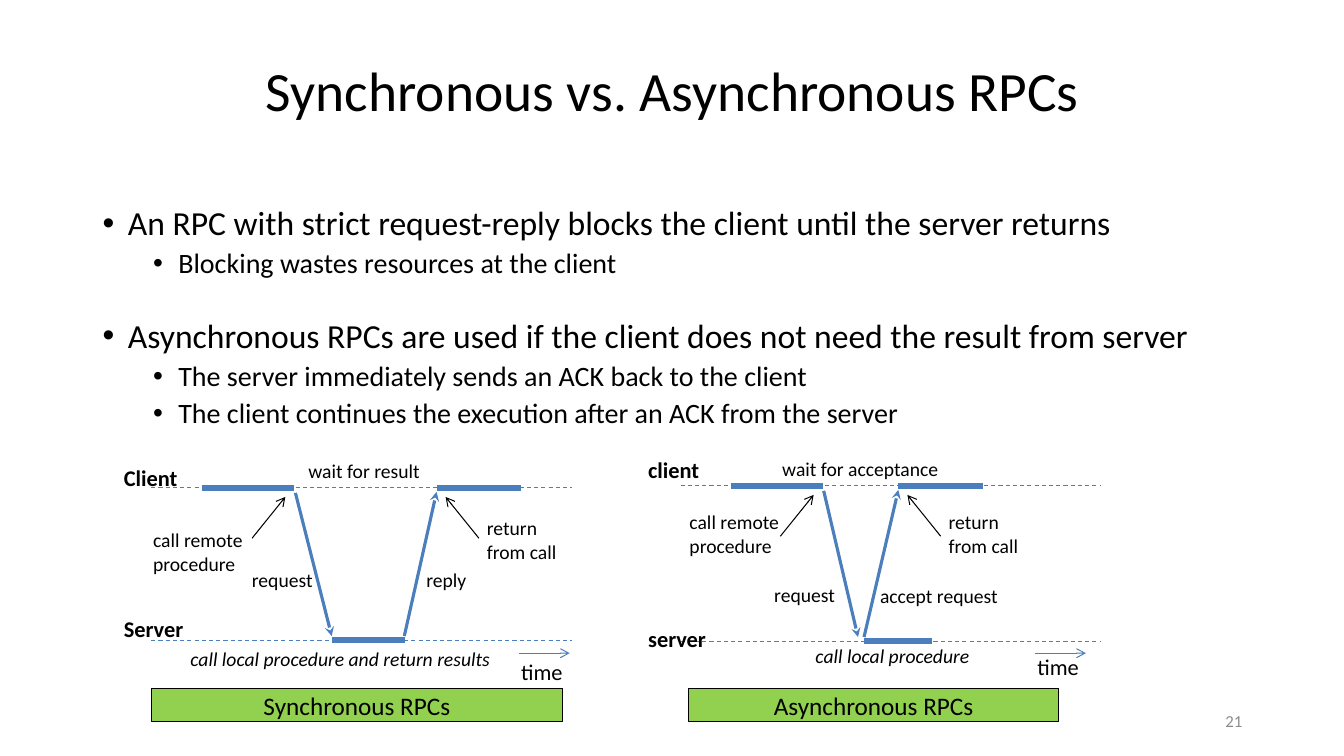
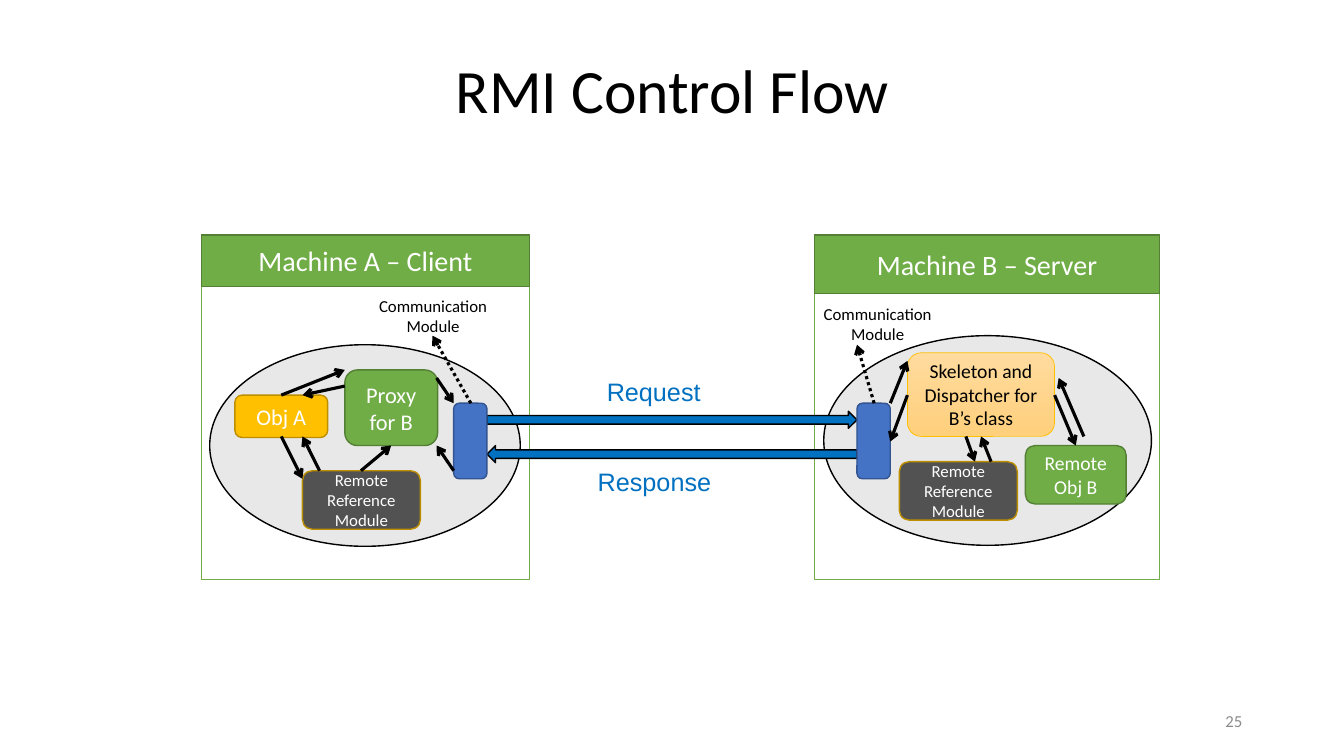
"""Build two slides on remote calls: sync vs. async RPCs and RMI control flow."""
from pptx import Presentation
from pptx.dml.color import RGBColor as RGB
from pptx.enum.dml import MSO_LINE_DASH_STYLE as Dash
from pptx.enum.shapes import MSO_CONNECTOR as Conn, MSO_SHAPE as Kind
from pptx.enum.text import MSO_ANCHOR as Anchor, PP_ALIGN as Align
from pptx.oxml.ns import qn
from pptx.util import Inches, Pt
from lxml.etree import SubElement as Sub

BLACK = RGB(0x00, 0x00, 0x00)
WHITE = RGB(0xFF, 0xFF, 0xFF)
GREY = RGB(0x8C, 0x8C, 0x8C)
DARK = RGB(0x52, 0x52, 0x52)
LIME = RGB(0x92, 0xD0, 0x50)
GREEN = RGB(0x70, 0xAD, 0x47)
MOSS = RGB(0x53, 0x80, 0x35)
STEEL = RGB(0x4B, 0x7E, 0xBC)
BLUE = RGB(0x44, 0x72, 0xC4)
NAVY = RGB(0x32, 0x54, 0x91)
AZURE = RGB(0x00, 0x70, 0xC0)
AMBER = RGB(0xFF, 0xC0, 0x00)
BROWN = RGB(0xBD, 0x8E, 0x00)
PEACH = (RGB(0xFF, 0xDB, 0x9E), RGB(0xFF, 0xD0, 0x7C))

BASE = {"name": "Calibri", "size": Pt(14)}
NOTE = BASE
WORK = BASE | {"italic": True}
SIDE = BASE | {"size": Pt(16), "bold": True}
TIME = BASE | {"size": Pt(16)}
FLOW = {"name": "Arial", "size": Pt(18)}
PAGE = BASE | {"size": Pt(12)}

LINES = {
    "guide": (STEEL, 0.75, Dash.DASH, None),
    "busy": (STEEL, 4.5, None, None),
    "send": (STEEL, 2.25, None, "stealth"),
    "time": (STEEL, 0.75, None, "arrow"),
    "hint": (BLACK, 0.75, None, "arrow"),
    "step": (BLACK, 2.25, None, "arrow"),
    "dots": (BLACK, 2.25, Dash.ROUND_DOT, "arrow"),
}

BOXES = {
    "proxy": (GREEN, MOSS, WHITE, 16),
    "remote": (GREEN, MOSS, WHITE, 14),
    "head": (GREEN, MOSS, WHITE, 20),
    "panel": (WHITE, GREEN, BLACK, 14),
    "object": (AMBER, BROWN, WHITE, 16),
    "module": (DARK, BROWN, WHITE, 12),
    "port": (BLUE, NAVY, WHITE, 12),
    "name": (LIME, BLACK, BLACK, 18),
    "arrow": (AZURE, BLACK, BLACK, 12),
    "host": (GREY, BLACK, BLACK, 12),
    "skel": (PEACH, AMBER, BLACK, 14),
}


def style(para, fmt, color):
    """Apply a dict of font values to the text of a paragraph."""
    font = para.runs[0].font
    for key, val in fmt.items():
        setattr(font, key, val)
    font.color.rgb = color


def label(slide, at, text, fmt=NOTE, color=BLACK, align=Align.LEFT,
          anchor=Anchor.TOP, wrap=True):
    """Add a one-paragraph text box and return its paragraph."""
    frame = slide.shapes.add_textbox(*map(Inches, at)).text_frame
    frame.word_wrap = wrap
    frame.vertical_anchor = anchor
    para = frame.paragraphs[0]
    para.text = text
    para.alignment = align
    style(para, fmt, color)
    return para


def box(slide, kind, at, look, text=""):
    """Add a preset shape in one of the named looks."""
    fill, edge, ink, size = BOXES[look]
    shape = slide.shapes.add_shape(kind, *map(Inches, at))
    shape.shadow.inherit = False
    if fill is PEACH:
        shape.fill.gradient()
        shape.fill.gradient_angle = 270
        for stop, color in zip(shape.fill.gradient_stops, fill):
            stop.color.rgb = color
    else:
        shape.fill.solid()
        shape.fill.fore_color.rgb = fill
    shape.line.color.rgb = edge
    shape.line.width = Pt(0.5 if look == "skel" else 1)
    if text:
        frame = shape.text_frame
        frame.word_wrap = True
        frame.vertical_anchor = Anchor.MIDDLE
        para = frame.paragraphs[0]
        para.text = text
        para.alignment = Align.CENTER
        style(para, BASE | {"size": Pt(size)}, ink)
    return shape


def line(slide, look, *ends):
    """Add a straight line given as x1, y1, x2, y2."""
    color, width, dash, tip = LINES[look]
    link = slide.shapes.add_connector(Conn.STRAIGHT, *map(Inches, ends))
    link.line.color.rgb = color
    link.line.width = Pt(width)
    if dash:
        link.line.dash_style = dash
    props = link._element.spPr
    if tip:
        Sub(props.find(qn("a:ln")), qn("a:tailEnd"), type=tip)
    Sub(props, qn("a:effectLst"))


def start(deck, title, size, page):
    """Add a blank slide with its title and page number."""
    slide = deck.slides.add_slide(deck.slide_layouts[6])
    para = label(slide, (2.17, 0.35, 9, 1.15), title, BASE | {"size": Pt(size)},
                 align=Align.CENTER, anchor=Anchor.MIDDLE)
    para.line_spacing = 0.9
    label(slide, (9.42, 6.95, 3, 0.4), page, PAGE, GREY, Align.RIGHT,
          Anchor.MIDDLE)
    return slide


def bullets(slide, at, items):
    """Add a bullet list of (level, space before, text)."""
    frame = slide.shapes.add_textbox(*map(Inches, at)).text_frame
    frame.word_wrap = True
    for num, (level, gap, text) in enumerate(items):
        para = frame.add_paragraph() if num else frame.paragraphs[0]
        para.text = text
        para.line_spacing = 0.9
        para.space_before = Pt(gap)
        props = para._p.get_or_add_pPr()
        props.set("marL", str(Inches(0.25 + level / 2)))
        props.set("indent", str(Inches(-0.25)))
        Sub(props, qn("a:buFont"), typeface="Arial")
        Sub(props, qn("a:buChar"), char="•")
        style(para, BASE | {"size": Pt(20 if level else 24)}, BLACK)


def chart(slide, left, right, top, base, call, land, work, reply, back, clock):
    """Draw the time lines of one call between client and server."""
    for y in (top, base):
        line(slide, "guide", left, y, right, y)
    for x1, x2, y in ((left + 0.5, call, top), (*work, base),
                      (back, back + 0.84, top)):
        line(slide, "busy", x1, y, x2, y)
    line(slide, "send", call + 0.01, top + 0.05, land, base - 0.04)
    line(slide, "send", reply, base - 0.04, back, top + 0.04)
    for x, way in ((call, -1), (back, 1)):
        line(slide, "hint", x + way * 0.42, top + 0.5, x + way * 0.09, top + 0.09)
    line(slide, "time", clock, 6.48, clock + 0.5, 6.48)


def host(slide, at, head, text, oval):
    """Draw one machine with its header and process oval."""
    left, top, width, _ = at
    box(slide, Kind.RECTANGLE, at, "panel")
    box(slide, Kind.RECTANGLE, (left, top, width, head), "head", text)
    shape = box(slide, Kind.OVAL, oval, "host")
    color = shape._element.spPr.find(qn("a:solidFill")).find(qn("a:srgbClr"))
    Sub(color, qn("a:alpha"), val="20000")


def calls(deck):
    """Build the slide on synchronous and asynchronous calls."""
    slide = start(deck, "Synchronous vs. Asynchronous RPCs", 39.6, "21")
    bullets(slide, (0.92, 2, 11.25, 2.4), (
        (0, 0, "An RPC with strict request-reply blocks the client until the server returns"),
        (1, 5, "Blocking wastes resources at the client"),
        (0, 28, "Asynchronous RPCs are used if the client does not need the result from server"),
        (1, 5, "The server immediately sends an ACK back to the client"),
        (1, 5, "The client continues the execution after an ACK from the server"),
    ))
    for left, width, text in ((1.5, 4.08, "Synchronous RPCs"),
                              (6.83, 3.67, "Asynchronous RPCs")):
        box(slide, Kind.RECTANGLE, (left, 6.83, width, 0.33), "name", text)
    chart(slide, 1.5, 5.67, 4.84, 6.35, 2.92, 3.29, (3.29, 4.02), 4.01, 4.33, 5.15)
    chart(slide, 6.75, 10.91, 4.82, 6.36, 8.16, 8.51, (8.57, 9.24), 8.57, 8.91, 10.27)
    for x, y, width, text, fmt in (
        (1.13, 4.56, 0.74, "Client", SIDE),
        (1.13, 6.05, 0.8, "Server", SIDE),
        (1.42, 5.19, 1.17, "call remote procedure", NOTE),
        (4.73, 5.07, 0.95, "return from call", NOTE),
        (2.96, 4.5, 1.58, "wait for result", NOTE),
        (1.79, 6.37, 3.62, "call local procedure and return results", WORK),
        (2.4, 5.58, 1.08, "request", NOTE),
        (4.13, 5.58, 0.75, "reply", NOTE),
        (5.07, 6.48, 0.62, "time", TIME),
        (6.33, 4.48, 0.71, "client", SIDE),
        (6.33, 6.15, 0.78, "server", SIDE),
        (6.74, 5.01, 1.17, "call remote procedure", NOTE),
        (9.31, 5.01, 0.96, "return from call", NOTE),
        (7.66, 4.48, 2.17, "wait for acceptance", NOTE),
        (7.99, 6.34, 2, "call local procedure", WORK),
        (7.58, 5.73, 1.08, "request", NOTE),
        (8.63, 5.74, 1.83, "accept request", NOTE),
        (10.19, 6.43, 0.62, "time", TIME),
    ):
        label(slide, (x, y, width, 0.35), text, fmt, wrap=fmt not in (SIDE, TIME))


def flow(deck):
    """Build the slide on the control flow of a remote method call."""
    slide = start(deck, "RMI Control Flow", 44, "25")
    host(slide, (8.08, 2.33, 3.42, 3.42), 0.58, "Machine B – Server",
         (8.17, 3.33, 3.25, 2.08))
    host(slide, (2, 2.33, 3.25, 3.42), 0.51, "Machine A – Client",
         (2.08, 3.42, 3.08, 2))
    for y, turn in ((4.08, 0), (4.42, 180)):
        shape = box(slide, Kind.RIGHT_ARROW, (4.83, y, 3.67, 0.17), "arrow")
        shape.rotation = turn
    for at, look, text in (
        ((3.42, 3.67, 0.92, 0.75), "proxy", "Proxy for B"),
        ((4.5, 4, 0.33, 0.75), "port", ""),
        ((8.5, 4, 0.33, 0.75), "port", ""),
        ((9, 3.5, 1.46, 0.83), "skel", "Skeleton and Dispatcher for B’s class"),
        ((10.17, 4.42, 1, 0.58), "remote", "Remote Obj B"),
        ((2.33, 3.92, 0.92, 0.42), "object", "Obj A"),
        ((3, 4.67, 1.17, 0.58), "module", "Remote Reference Module"),
        ((8.92, 4.58, 1.17, 0.58), "module", "Remote Reference Module"),
    ):
        box(slide, Kind.FLOWCHART_ALTERNATE_PROCESS, at, look, text)
    for x, y in ((3.42, 2.92), (7.83, 3)):
        label(slide, (x, y, 1.75, 0.42), "Communication Module", PAGE,
              align=Align.CENTER, anchor=Anchor.MIDDLE)
    label(slide, (5.92, 3.68, 1.17, 0.4), "Request", FLOW, AZURE)
    label(slide, (5.83, 4.58, 1.33, 0.4), "Response", FLOW, AZURE)
    for ends in ((4.67, 4, 4.29, 3.33), (8.67, 4, 8.5, 3.42)):
        line(slide, "dots", *ends)
    for ends in (
        (2.79, 4.33, 3, 4.75),
        (3.58, 4.67, 3.88, 4.42),
        (3.17, 4.67, 3, 4.33),
        (2.79, 3.92, 3.42, 3.67),
        (4.33, 3.75, 4.5, 4),
        (8.83, 4, 9, 3.58),
        (9.58, 4.33, 9.67, 4.58),
        (9.83, 4.58, 9.73, 4.33),
        (10.46, 3.92, 10.67, 4.42),
        (10.75, 4.33, 10.5, 3.75),
        (9, 3.92, 8.83, 4.38),
        (4.5, 4.67, 4.33, 4.42),
        (3.42, 3.83, 3, 3.92),
    ):
        line(slide, "step", *ends)


def main():
    """Build and save the deck."""
    deck = Presentation()
    deck.slide_width = Inches(13.33)
    deck.slide_height = Inches(7.5)
    calls(deck)
    flow(deck)
    deck.save("out.pptx")


if __name__ == "__main__":
    main()
